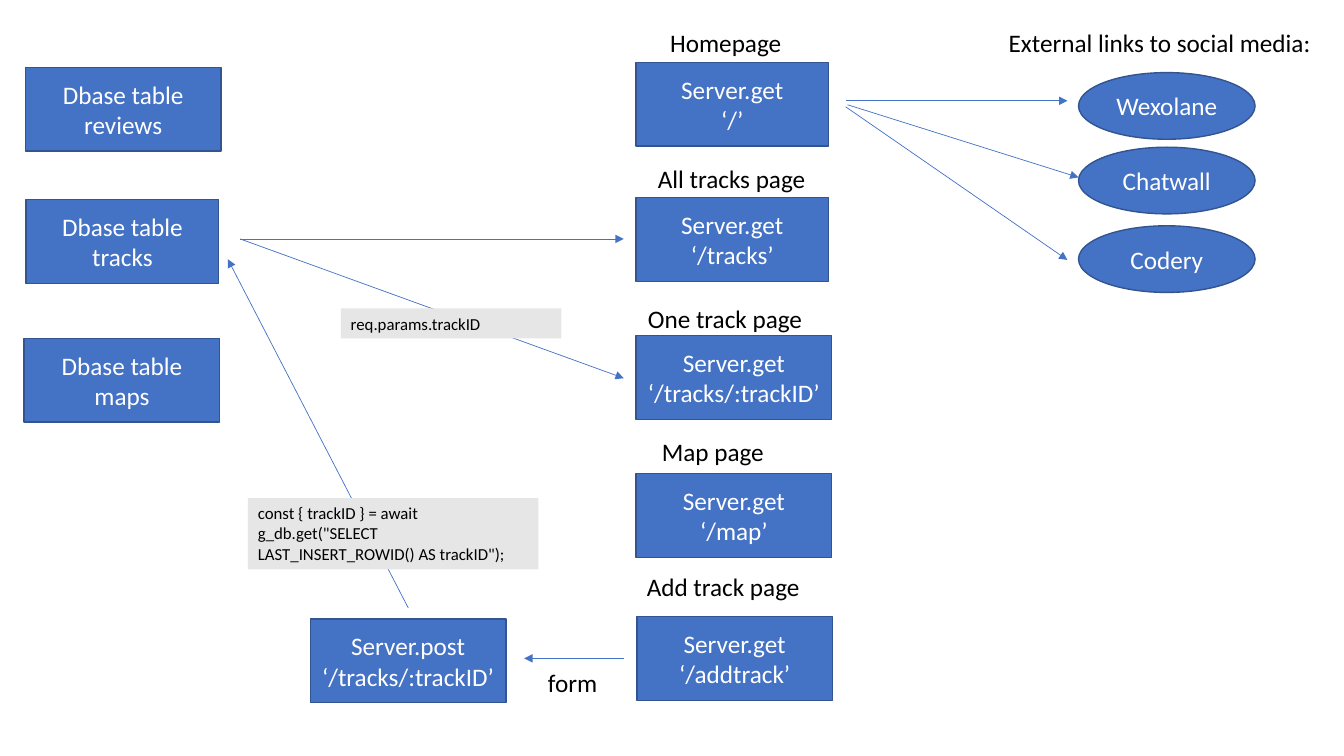
from pptx import Presentation
from pptx.dml.color import RGBColor
from pptx.enum.shapes import MSO_CONNECTOR as Connector, MSO_SHAPE as Shape
from pptx.enum.text import MSO_ANCHOR as Anchor, PP_ALIGN as Align
from pptx.oxml.ns import qn
from pptx.util import Cm, Pt
from lxml.etree import SubElement

BLUE, DARK_BLUE, GREY = "4472C4", "325491", "E7E6E6"
WHITE, BLACK = "FFFFFF", "000000"
BOX_HEIGHT = 2.11

PAGES = [
    ("Homepage", 16.64, 0.56, "‘/’", 16.03, 1.57, 4.85),
    ("All tracks page", 16.33, 3.99, "‘/tracks’", 16.03, 4.98, 4.85),
    ("One track page", 16.08, 7.52, "‘/tracks/:trackID’", 16.03, 8.46, 4.93),
    ("Map page", 16.43, 10.87, "‘/map’", 16.03, 11.94, 4.93),
    ("Add track page", 16.05, 14.27, "‘/addtrack’", 16.05, 15.54, 4.93),
]
TABLES = [
    ("reviews", 0.64, 1.7, 4.93),
    ("tracks", 0.66, 5.03, 4.85),
    ("maps", 0.61, 8.53, 4.93),
]
SOCIAL_MEDIA = [("Wexolane", 1.83), ("Chatwall", 3.71), ("Codery", 5.69)]
ARROWS = [
    (21.31, 2.54, 26.9, 2.54),
    (21.36, 2.64, 27.18, 4.47),
    (21.31, 2.69, 26.9, 6.55),
    (6.05, 6.02, 15.72, 6.02),
    (6.05, 6.02, 15.72, 9.53),
    (15.72, 16.59, 13.21, 16.59),
    (10.29, 15.32, 5.74, 6.53),
]
NOTES = [
    ("req.params.trackID", 8.59, 7.77, 5.56, 0.76),
    ('const { trackID } = await g_db.get("SELECT LAST_INSERT_ROWID() AS trackID");',
     6.25, 12.55, 7.32, 1.8),
]


def color(hex_string):
    return RGBColor.from_string(hex_string)


def write(shape, text, size, font_color, alignment, anchor):
    frame = shape.text_frame
    frame.word_wrap = True
    frame.vertical_anchor = anchor
    frame.text = text
    for paragraph in frame.paragraphs:
        paragraph.alignment = alignment
        for run in paragraph.runs:
            run.font.name = "Calibri"
            run.font.size = Pt(size)
            run.font.color.rgb = color(font_color)


def add_node(slide, text, left, top, width, height=BOX_HEIGHT, kind=Shape.RECTANGLE):
    shape = slide.shapes.add_shape(kind, Cm(left), Cm(top), Cm(width), Cm(height))
    shape.shadow.inherit = False
    shape.fill.solid()
    shape.fill.fore_color.rgb = color(BLUE)
    shape.line.color.rgb = color(DARK_BLUE)
    shape.line.width = Pt(1)
    write(shape, text, 18, WHITE, Align.CENTER, Anchor.MIDDLE)


def add_label(slide, text, left, top, width=4.85):
    label = slide.shapes.add_textbox(Cm(left), Cm(top), Cm(width), Cm(1.02))
    write(label, text, 18, BLACK, Align.LEFT, Anchor.TOP)


def add_note(slide, text, left, top, width, height):
    note = slide.shapes.add_textbox(Cm(left), Cm(top), Cm(width), Cm(height))
    note.fill.solid()
    note.fill.fore_color.rgb = color(GREY)
    write(note, text, 12, BLACK, Align.LEFT, Anchor.TOP)


def add_arrow(slide, *ends):
    arrow = slide.shapes.add_connector(Connector.STRAIGHT, *map(Cm, ends))
    arrow.line.color.rgb = color(BLUE)
    arrow.line.width = Pt(0.5)
    properties = arrow.element.spPr
    SubElement(properties.find(qn("a:ln")), qn("a:tailEnd"), type="triangle")
    SubElement(properties, qn("a:effectLst"))


def main():
    presentation = Presentation()
    presentation.slide_width = Cm(33.87)
    presentation.slide_height = Cm(19.05)
    slide = presentation.slides.add_slide(presentation.slide_layouts.get_by_name("Blank"))

    for title, label_left, label_top, route, left, top, width in PAGES:
        add_node(slide, f"Server.get\n{route}", left, top, width)
        add_label(slide, title, label_left, label_top)
    for table, left, top, width in TABLES:
        add_node(slide, f"Dbase table {table}", left, top, width)
    add_node(slide, "Server.post\n‘/tracks/:trackID’", 7.82, 15.6, 4.93)

    add_label(slide, "External links to social media:", 25.17, 0.56, 8.7)
    for site, top in SOCIAL_MEDIA:
        add_node(slide, site, 27.18, top, 4.45, 1.68, Shape.OVAL)

    for ends in ARROWS:
        add_arrow(slide, *ends)
    for note in NOTES:
        add_note(slide, *note)
    add_label(slide, "form", 13.56, 16.69, 1.93)

    presentation.save("out.pptx")


if __name__ == "__main__":
    main()
